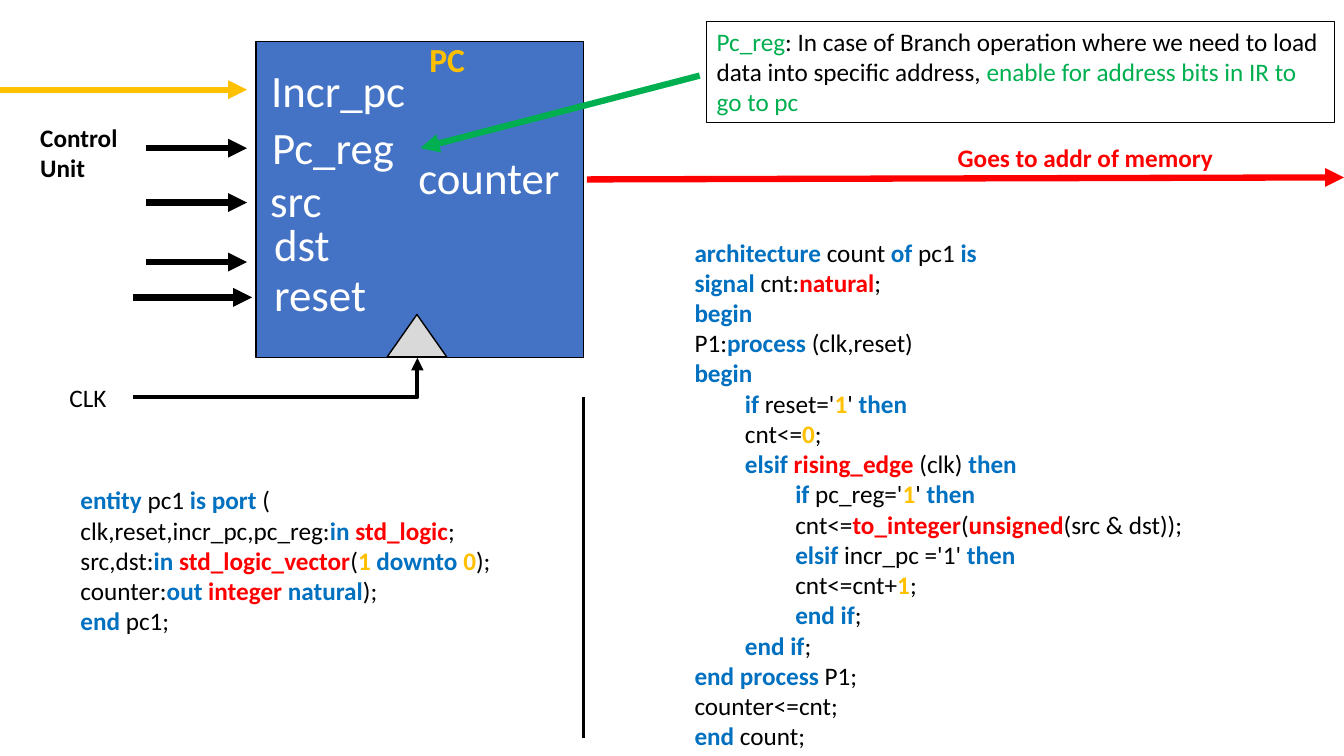
from dataclasses import dataclass

from lxml.etree import SubElement
from pptx import Presentation
from pptx.dml.color import RGBColor
from pptx.enum.shapes import MSO_CONNECTOR, MSO_SHAPE
from pptx.enum.text import MSO_AUTO_SIZE, PP_ALIGN
from pptx.oxml.ns import qn
from pptx.util import Inches, Pt


@dataclass(frozen=True)
class Theme:
    """Colours, font and type sizes of the slide."""
    black: str = "000000"
    white: str = "FFFFFF"
    block: str = "4472C4"
    clock: str = "D9D9D9"
    blue: str = "0070C0"
    red: str = "FF0000"
    amber: str = "FFC000"
    green: str = "00B050"
    font: str = "Calibri"
    body: int = 18
    heading: int = 24
    port: int = 32


THEME = Theme()


def keyword(text):
    """Return a run for a language keyword."""
    return text, THEME.blue, True


def symbol(text):
    """Return a run for a type or function."""
    return text, THEME.red, True


def number(text):
    """Return a run for a literal value."""
    return text, THEME.amber, True


def plain(text):
    """Return a run of ordinary black text."""
    return text, THEME.black, False


ENTITY_CODE = [
    [keyword("entity"), plain(" pc1 "), keyword("is port"), plain(" (")],
    [plain("clk,reset,incr_pc,pc_reg:"), keyword("in "), symbol("std_logic"), plain(";")],
    [plain("src,dst:"), keyword("in "), symbol("std_logic_vector"), plain("("),
     number("1 "), keyword("downto "), number("0"), plain(");")],
    [plain("counter:"), keyword("out "), symbol("integer "), keyword("natural"), plain(");")],
    [keyword("end"), plain(" pc1;")],
]

ARCHITECTURE_CODE = [
    [keyword("architecture"), plain(" count "), keyword("of"), plain(" pc1 "), keyword("is")],
    [keyword("signal "), plain("cnt:"), symbol("natural"), plain(";")],
    [keyword("begin")],
    [plain("P1:"), keyword("process"), plain(" (clk,reset)")],
    [keyword("begin")],
    [keyword("\tif"), plain(" reset='"), number("1"), plain("' "), keyword("then")],
    [plain("\tcnt<="), number("0"), plain(";")],
    [keyword("\telsif "), symbol("rising_edge "), plain("(clk) "), keyword("then")],
    [keyword("\t\tif "), plain("pc_reg='"), number("1"), plain("' "), keyword("then")],
    [plain("\t\tcnt<="), symbol("to_integer"), plain("("), symbol("unsigned"),
     plain("(src & dst));")],
    [keyword("\t\telsif "), plain("incr_pc ='1' "), keyword("then")],
    [plain("\t\tcnt<=cnt+"), number("1"), plain(";")],
    [keyword("\t\tend if"), plain(";")],
    [keyword("\tend if"), plain(";")],
    [keyword("end process"), plain(" P1;")],
    [plain("counter<=cnt;")],
    [keyword("end"), plain(" count;")],
]


def add_text(slide, box, lines, size=THEME.body, alignment=PP_ALIGN.LEFT):
    """Place lines of coloured runs in a text box and return the box."""
    shape = slide.shapes.add_textbox(*map(Inches, box))
    frame = shape.text_frame
    frame.word_wrap = True
    frame.auto_size = MSO_AUTO_SIZE.SHAPE_TO_FIT_TEXT
    for index, line in enumerate(lines):
        paragraph = frame.add_paragraph() if index else frame.paragraphs[0]
        paragraph.alignment = alignment
        for text, color, bold in line:
            run = paragraph.add_run()
            run.text = text
            run.font.name = THEME.font
            run.font.size = Pt(size)
            run.font.bold = bold
            run.font.color.rgb = RGBColor.from_string(color)
    return shape


def add_line(slide, start, end, color=THEME.black, width=4.5, arrow=True,
             kind=MSO_CONNECTOR.STRAIGHT):
    """Draw a connector, with an arrowhead at its end unless told otherwise."""
    connector = slide.shapes.add_connector(kind, *map(Inches, start + end))
    connector.line.color.rgb = RGBColor.from_string(color)
    connector.line.width = Pt(width)
    properties = connector._element.spPr
    if arrow:
        SubElement(properties.find(qn("a:ln")), qn("a:tailEnd"), type="triangle")
    SubElement(properties, qn("a:effectLst"))
    return connector


def add_solid(shapes, kind, box, fill):
    """Add a filled preset shape with a thin black outline."""
    shape = shapes.add_shape(kind, *map(Inches, box))
    shape.shadow.inherit = False
    shape.fill.solid()
    shape.fill.fore_color.rgb = RGBColor.from_string(fill)
    shape.line.color.rgb = RGBColor.from_string(THEME.black)
    shape.line.width = Pt(1)


def draw_counter(slide, left, top, width, height):
    """Draw the program counter block with its clock mark and port names."""
    group = slide.shapes.add_group_shape()
    add_solid(group.shapes, MSO_SHAPE.RECTANGLE, (left, top, width, height), THEME.block)
    add_solid(group.shapes, MSO_SHAPE.ISOSCELES_TRIANGLE,
              (left + 1.3, top + height - 0.43, 0.59, 0.42), THEME.clock)
    ports = [("Incr_pc", 0.05, 0.16), ("Pc_reg", 0.06, 0.73), ("src", 0.04, 1.25),
             ("dst", 0.08, 1.69), ("reset", 0.08, 2.19), ("counter", 1.51, 1.03)]
    for name, across, down in ports:
        add_text(slide, (left + across, top + down, 1.75, 0.64),
                 [[(name, THEME.white, False)]], THEME.port)
    add_text(slide, (left + 1.09, top - 0.07, 1.61, 0.5), [[("PC", THEME.amber, True)]],
             THEME.heading, PP_ALIGN.CENTER)


def draw_inputs(slide, left, top, right):
    """Draw the control and clock arrows that end at the counter block."""
    add_line(slide, (0, top), (right, top), THEME.amber)
    for down in (0.58, 1.12, 1.71):
        add_line(slide, (right - 1, top + down), (right, top + down))
    add_line(slide, (left + 1.02, top + 2.06), (right + 0.05, top + 2.06))
    add_text(slide, (left, top + 0.27, 1.15, 0.71), [[("Control Unit", THEME.black, True)]])
    add_text(slide, (left + 0.29, top + 2.85, 0.86, 0.41), [[plain("CLK")]])
    clock = add_line(slide, (left + 1.02, top + 3.05), (right + 1.69, top + 2.66),
                     width=3, kind=MSO_CONNECTOR.ELBOW)
    clock._element.spPr.find(qn("a:prstGeom")).set("prst", "bentConnector2")


def draw_output(slide, left, top, right):
    """Draw the labelled arrow from the counter to memory."""
    add_line(slide, (left, top), (right, top - 0.02), THEME.red)
    add_text(slide, (left + 3.58, top - 0.42, 3.25, 0.4),
             [[("Goes to addr of memory", THEME.red, True)]])


def draw_note(slide, left, top, width, height):
    """Draw the framed remark and its arrow to the Pc_reg port."""
    note = add_text(slide, (left, top, width, height), [[
        ("Pc_reg", THEME.green, False),
        plain(": In case of Branch operation where we need to load data into specific address, "),
        ("enable for address bits in IR to go to pc", THEME.green, False),
    ]])
    note.line.color.rgb = RGBColor.from_string(THEME.black)
    note.line.width = Pt(0.75)
    add_line(slide, (left - 0.07, top + 0.54), (left - 2.84, top + 1.26), THEME.green)


def draw_code(slide, left, top, width):
    """Draw the entity and architecture listings with their divider."""
    add_text(slide, (left, top + 2.46, width, 1.62), ENTITY_CODE)
    add_text(slide, (left + 6.09, top, width, 5.25), ARCHITECTURE_CODE)
    add_line(slide, (left + 5.09, top + 1.64), (left + 5.09, top + 5.02),
             width=2.25, arrow=False)


def main():
    """Build and save the program counter slide."""
    presentation = Presentation()
    presentation.slide_width = Inches(13.33)
    presentation.slide_height = Inches(7.5)
    slide = presentation.slides.add_slide(presentation.slide_layouts[6])
    draw_counter(slide, 2.54, 0.41, 3.25, 3.14)
    draw_inputs(slide, 0.3, 0.89, 2.45)
    draw_output(slide, 5.82, 1.78, 13.33)
    draw_note(slide, 7.01, 0.21, 6.23, 1.01)
    draw_code(slide, 0.7, 2.3, 6.74)
    presentation.save("out.pptx")


if __name__ == "__main__":
    main()
